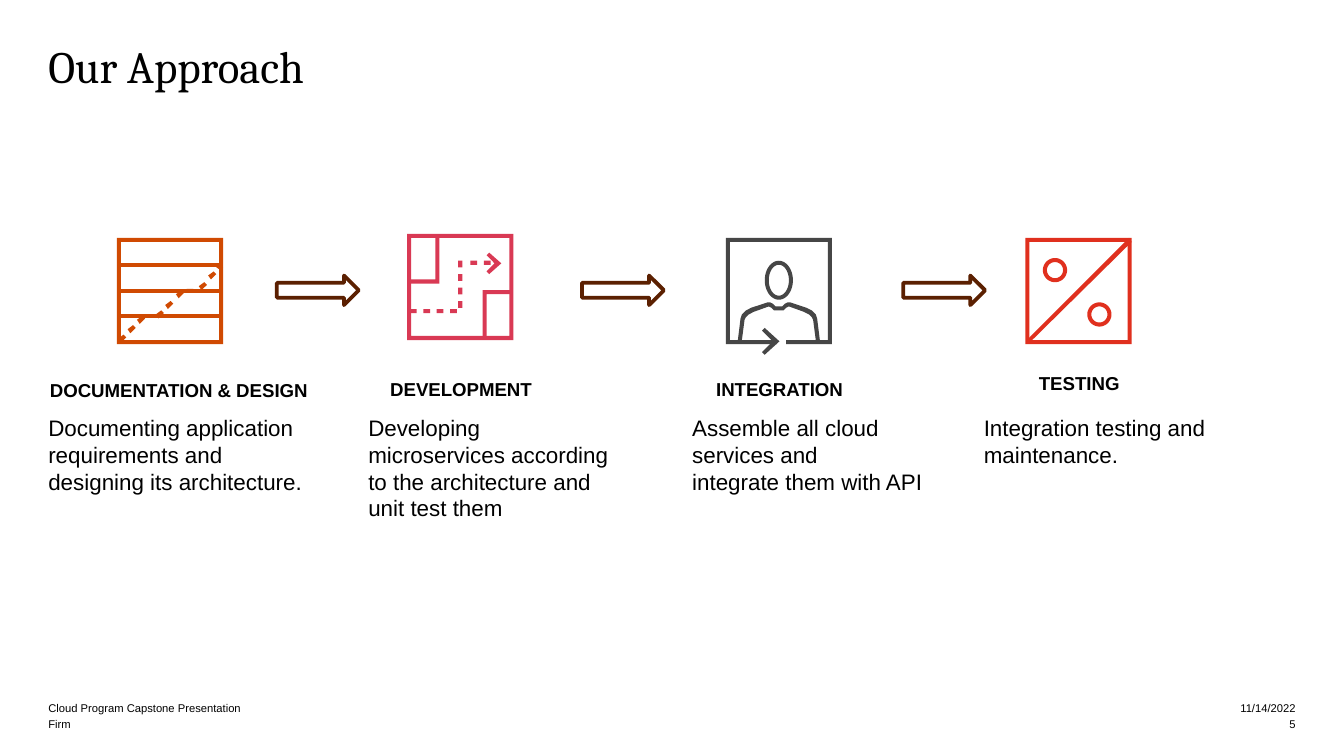
from math import cos, pi, sin

from pptx import Presentation
from pptx.dml.color import RGBColor
from pptx.enum.shapes import MSO_SHAPE
from pptx.enum.text import MSO_ANCHOR, PP_ALIGN
from pptx.util import Emu, Pt

PX = 9144
RIGHT_ARROW = MSO_SHAPE.RIGHT_ARROW
TOP, BOTTOM = MSO_ANCHOR.TOP, MSO_ANCHOR.BOTTOM
LEFT, CENTER, RIGHT = PP_ALIGN.LEFT, PP_ALIGN.CENTER, PP_ALIGN.RIGHT

BLACK = RGBColor(0x00, 0x00, 0x00)
ORANGE = RGBColor(0xD0, 0x4A, 0x02)
ROSE = RGBColor(0xD9, 0x39, 0x54)
GRAY = RGBColor(0x46, 0x46, 0x46)
RED = RGBColor(0xE0, 0x30, 0x1E)
BROWN = RGBColor(0x5B, 0x20, 0x01)

STROKE = 3
ICON = 79
HARD_SPACE = chr(160)


def px(length):
    """Turn px into EMU."""
    return Emu(round(length * PX))


def add_text(slide, text, box, size=12, font="Arial", bold=False,
             align=LEFT, anchor=TOP, spacing=None, after=0):
    """Add a wrapped text box without insets."""
    frame = slide.shapes.add_textbox(*map(px, box)).text_frame
    frame.word_wrap = True
    frame.vertical_anchor = anchor
    frame.margin_left = frame.margin_right = 0
    frame.margin_top = frame.margin_bottom = 0
    paragraph = frame.paragraphs[0]
    paragraph.alignment = align
    paragraph.space_after = Pt(after)
    if spacing:
        paragraph.line_spacing = spacing
    run = paragraph.add_run()
    run.text = text
    run.font.name = font
    run.font.size = Pt(size)
    run.font.bold = bold
    run.font.color.rgb = BLACK


def add_arrow(slide, left):
    """Add an outlined arrow between two stages."""
    arrow = slide.shapes.add_shape(RIGHT_ARROW, *map(px, (left, 205, 61, 22)))
    arrow.shadow.inherit = False
    arrow.fill.background()
    arrow.line.color.rgb = BROWN
    arrow.line.width = Pt(2)


def add_icon(slide, left, top, color, parts):
    """Add a group of filled outlines, each made of closed contours."""
    group = slide.shapes.add_group_shape()
    for contours in parts:
        placed = [[(px(left + x), px(top + y)) for x, y in contour]
                  for contour in contours]
        builder = group.shapes.build_freeform(*placed[0][0], scale=1.0)
        for number, contour in enumerate(placed):
            if number:
                builder.move_to(*contour[0])
            builder.add_line_segments(contour[1:], close=True)
        outline = builder.convert_to_shape()
        outline.shadow.inherit = False
        outline.fill.solid()
        outline.fill.fore_color.rgb = color
        outline.line.fill.background()


def box(left, top, width, height):
    """Return the contour of a rectangle."""
    right, bottom = left + width, top + height
    return [(left, top), (right, top), (right, bottom), (left, bottom)]


def square_frame():
    """Return the contours of the square round an icon."""
    inner = ICON - 2 * STROKE
    return [box(0, 0, ICON, ICON), box(STROKE, STROKE, inner, inner)]


def ellipse(left, top, width, height, steps=48):
    """Return the contour of an ellipse inside a rectangle."""
    angles = [2 * pi * step / steps for step in range(steps)]
    return [(left + width / 2 * (1 + cos(angle)),
             top + height / 2 * (1 + sin(angle))) for angle in angles]


def ring(left, top, width, height):
    """Return the contours of an elliptical ring."""
    return [ellipse(left, top, width, height),
            ellipse(left + STROKE, top + STROKE,
                    width - 2 * STROKE, height - 2 * STROKE)]


def chevron(x, y, reach):
    """Return the contour of an open arrowhead with its tip at x, y."""
    upper = [(x - reach - 3, y - reach + 2), (x - reach - 1, y - reach)]
    lower = [(across, 2 * y - down) for across, down in reversed(upper)]
    return lower + [(x - 5, y)] + upper + [(x, y)]


def slanted_dash(x, y):
    """Return the contour of a rising dash."""
    return [(x, y), (x - 2, y - 3), (x + 2, y - 6), (x + 4, y - 4)]


def mirror(contour):
    """Return a contour flipped left to right."""
    return [(ICON - x, y) for x, y in contour]


def design_parts():
    """Return the ruled sheet with a dashed trend."""
    rules = [[box(2, y, 75, STROKE)] for y in (19, 38, 57)]
    start = [slanted_dash(3 + 7 * i, 78 - 7 * i) for i in range(3)]
    rise = [slanted_dash(x, y) for x, y in
            ((31, 60), (38, 53), (46, 45), (63, 39), (70, 31))]
    rise += [box(52, 38, 5, STROKE), [(77, 24), (74, 22), (77, 20), (79, 22)]]
    return [square_frame(), *rules, start, rise]


def development_parts():
    """Return the floor plan with a dashed route."""
    upper_room = [(2, 37), (2, 34), (21, 34), (21, 2), (24, 2), (24, 37)]
    lower_room = [(59, 78), (56, 78), (56, 42), (78, 42), (78, 45), (59, 45)]
    route = [box(x, 56, 5, STROKE) for x in range(2, 33, 10)]
    route += [box(38, y, STROKE, 5) for y in range(20, 51, 10)]
    route += [box(x, 20, 5, STROKE) for x in (47, 57)]
    return [square_frame(), [upper_room], [lower_room], route,
            [chevron(70, 22, 8)]]


def integration_parts():
    """Return the person in an open frame with an arrow."""
    frame = [(79, 79), (45, 79), (45, 76), (76, 76), (76, 3), (3, 3),
             (3, 76), (38, 76), (38, 79), (0, 79), (0, 0), (79, 0)]
    outer = [(9, 76), (11, 60), (12, 57), (15, 54), (19, 52), (31, 48),
             (33, 48), (35, 49), (37, 51), (39, 51)]
    inner = [(12, 76), (14, 61), (15, 59), (17, 57), (21, 55), (32, 51),
             (34, 52), (36, 54), (39, 54)]
    shoulders = outer + mirror(outer)[::-1] + mirror(inner) + inner[::-1]
    return [[frame], [shoulders], ring(29, 17, 21, 29), [chevron(40, 77, 10)]]


def testing_parts():
    """Return the square with a diagonal and two rings."""
    diagonal = [(3, 78), (1, 76), (77, 0), (79, 3)]
    return [square_frame(), ring(13, 15, 18, 18), ring(46, 48, 18, 18),
            [diagonal]]


def main():
    """Build the approach slide."""
    deck = Presentation()
    deck.slide_width, deck.slide_height = px(1000), px(1000 * 9 / 16)
    slide = deck.slides.add_slide(deck.slide_layouts[6])

    add_text(slide, "Our Approach", (36, 35, 927, 114),
             size=24, font="Cambria", spacing=0.85)

    stages = [
        ("DOCUMENTATION & DESIGN", (33, 282), (36, 200),
         f"Documenting application requirements{HARD_SPACE}and "
         "designing its architecture.",
         (87, 177), ORANGE, design_parts()),
        ("DEVELOPMENT", (243, 281), (274, 188),
         "Developing microservices according to the architecture "
         "and unit test them",
         (303, 174), ROSE, development_parts()),
        ("INTEGRATION", (480, 281), (515, 188),
         f"Assemble all cloud services and integrate{HARD_SPACE}them with API",
         (540, 177), GRAY, integration_parts()),
        ("TESTING", (703, 277), (732, 188),
         "Integration testing and maintenance.",
         (763, 177), RED, testing_parts()),
    ]
    for heading, corner, (left, width), detail, place, color, parts in stages:
        add_icon(slide, *place, color, parts)
        add_text(slide, heading, (*corner, 200, 22),
                 size=10, bold=True, align=CENTER)
        add_text(slide, detail, (left, 308, width, 224), after=2)

    for left in (206, 433, 672):
        add_arrow(slide, left)

    footers = [("Cloud Program Capstone Presentation", 36, 521, 449, LEFT),
               ("Firm", 36, 533, 449, LEFT),
               ("11/14/2022", 674, 521, 290, RIGHT),
               ("5", 674, 533, 290, RIGHT)]
    for text, left, top, width, align in footers:
        add_text(slide, text, (left, top, width, 11),
                 size=6, align=align, anchor=BOTTOM)

    deck.save("out.pptx")


if __name__ == "__main__":
    main()
